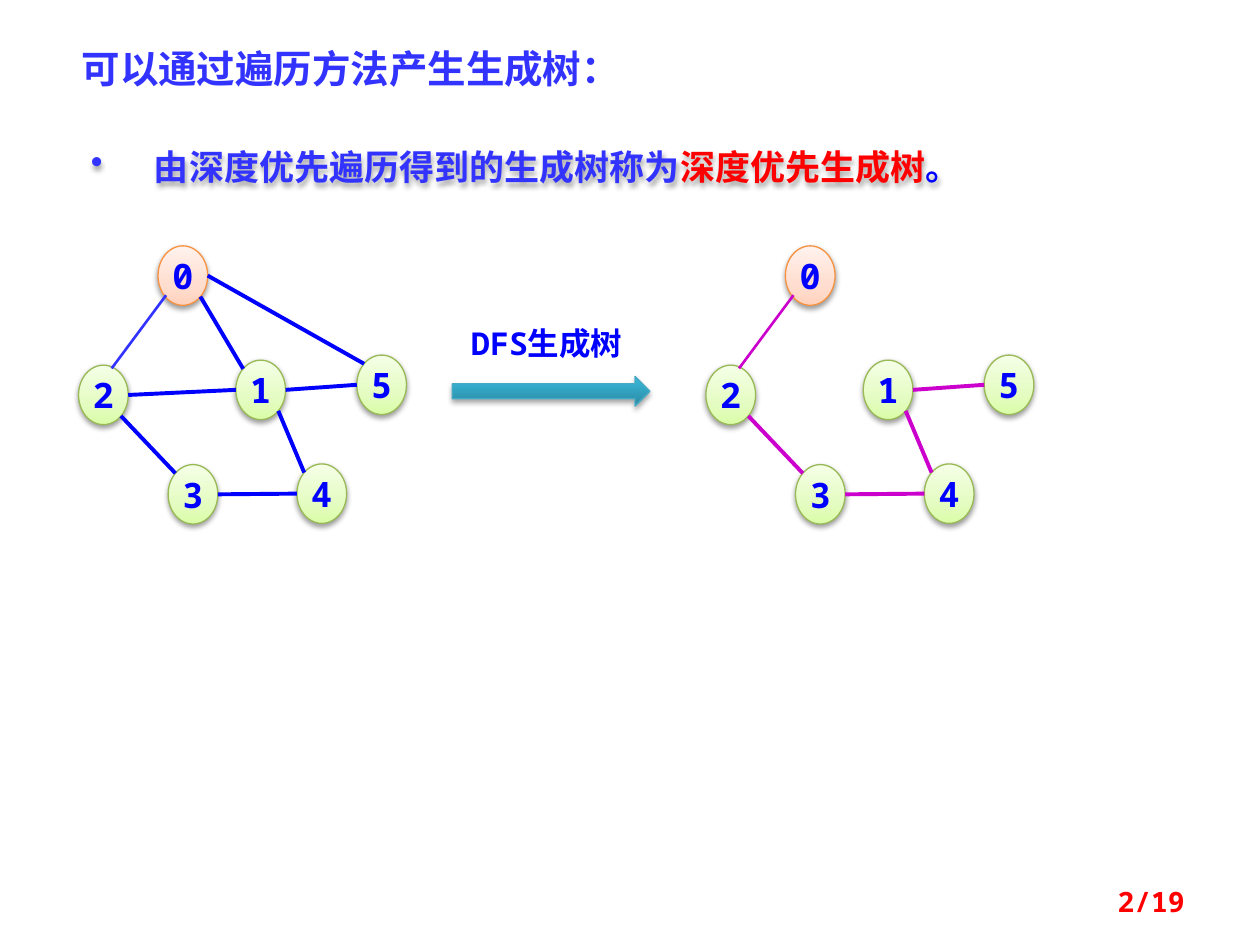
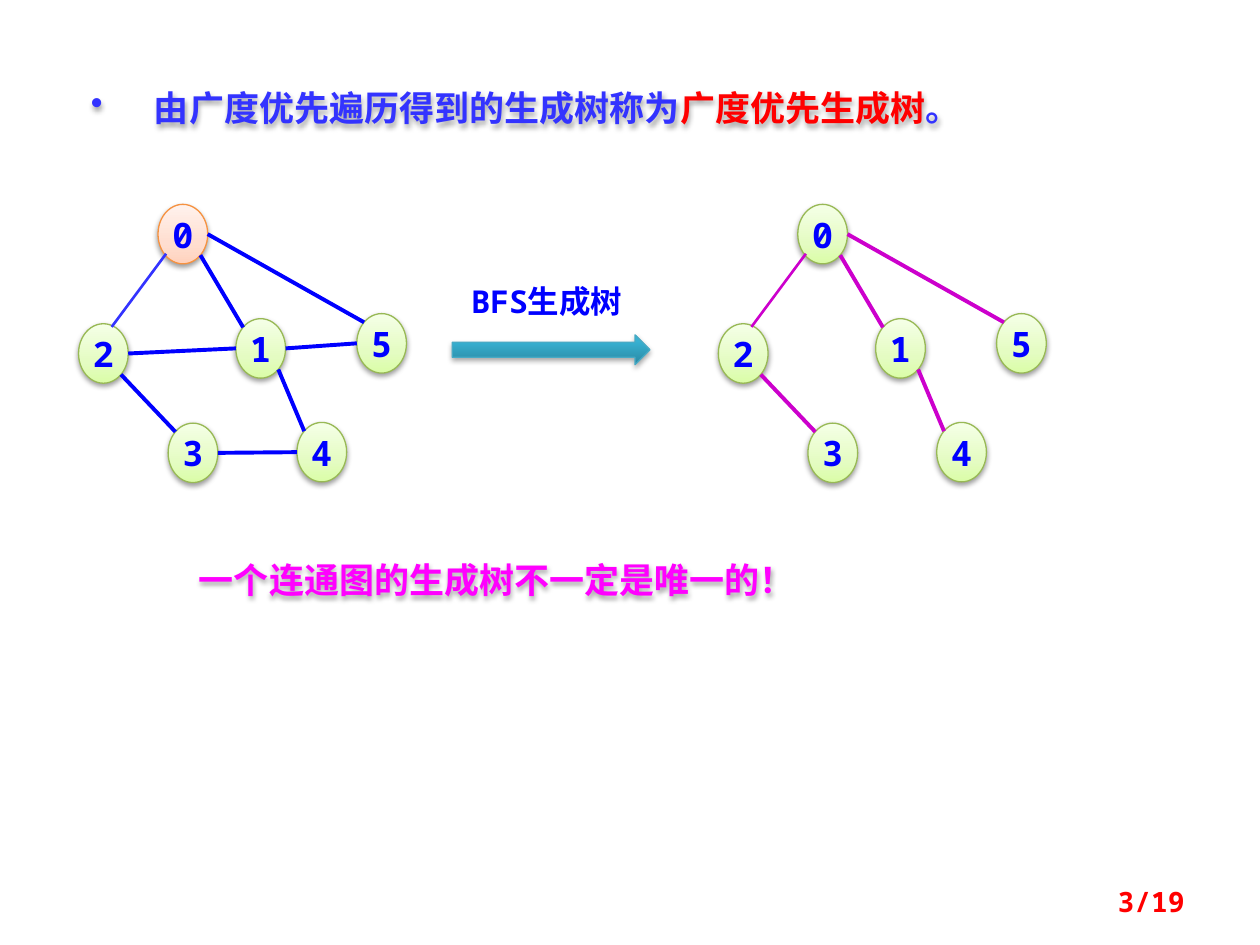
from copy import deepcopy
from math import sqrt

from lxml.etree import SubElement
from pptx import Presentation
from pptx.dml.color import RGBColor
from pptx.enum.shapes import MSO_CONNECTOR, MSO_SHAPE
from pptx.enum.text import MSO_ANCHOR, MSO_AUTO_SIZE, PP_ALIGN
from pptx.oxml.ns import qn
from pptx.util import Pt

# Colours
BLUE = RGBColor(0x00, 0x00, 0xFF)
SOFT_BLUE = RGBColor(0x33, 0x33, 0xFF)
RED = RGBColor(0xFF, 0x00, 0x00)
PINK = RGBColor(0xFF, 0x00, 0xFF)
PURPLE = RGBColor(0xCC, 0x00, 0xCC)
GREEN_LINE = RGBColor(0x98, 0xB9, 0x55)
ORANGE_LINE = RGBColor(0xF6, 0x92, 0x40)
TEAL_LINE = RGBColor(0x46, 0xAA, 0xC5)

# Gradients: stop position and colour, from bottom to top
GREEN_FILL = [(0, RGBColor(0xDA, 0xFD, 0xA7)), (0.35, RGBColor(0xE4, 0xFC, 0xC2)),
              (1, RGBColor(0xF5, 0xFF, 0xE7))]
ORANGE_FILL = [(0, RGBColor(0xFF, 0xD2, 0xBD)), (0.35, RGBColor(0xFF, 0xDE, 0xD0)),
               (1, RGBColor(0xFF, 0xF2, 0xED))]
TEAL_FILL = [(0, RGBColor(0x2A, 0x88, 0xA2)), (0.8, RGBColor(0x37, 0xB1, 0xD2)),
             (1, RGBColor(0x34, 0xB4, 0xD6))]

SERIF = "Times New Roman"
MONO = "Noto Sans Mono"

# Graph geometry in points, relative to the graph's top left corner
NODE_WIDTH, NODE_HEIGHT = 28.4, 34
NODES = [(45.4, 0), (89.9, 65.3), (0, 68.2), (51.2, 125), (124.8, 124.6), (159, 62.4)]
DIAGONAL = sqrt(0.5)
SITES = {"left": (-1, 0), "right": (1, 0),
         "upper left": (-DIAGONAL, -DIAGONAL), "lower right": (DIAGONAL, DIAGONAL)}
EDGES = {
    (2, 3): ("lower right", "upper left"),
    (0, 1): ("lower right", "upper left"),
    (2, 1): ("right", "left"),
    (1, 5): ("right", "left"),
    (1, 4): ("lower right", "upper left"),
    (3, 4): ("right", "left"),
    (0, 5): ("right", "upper left"),
}
SHORT_EDGE = (50, 28.2), (18.9, 70)  # between nodes 0 and 2
GRAPH_LEFT = 44.9
PAGE_COUNT = 19


class Lecture:
    """The style of the deck and the slide being drawn."""

    def __init__(self):
        self.deck = Presentation()
        self.deck.slide_width, self.deck.slide_height = Pt(720), Pt(540)
        self.page = None

    def new_page(self, number):
        self.page = self.deck.slides.add_slide(self.deck.slide_layouts[6])
        box = self.text((516, 500.4, 168, 28.8), [(f"{number}/{PAGE_COUNT}", RED)],
                        16, MONO, PP_ALIGN.RIGHT, fit=False)
        box.text_frame.vertical_anchor = MSO_ANCHOR.MIDDLE

    def fill_frame(self, frame, spans, size, font, align):
        para = frame.paragraphs[0]
        para.alignment = align
        para.font.size, para.font.name, para.font.bold = Pt(size), font, True
        for words, color in spans:
            span = para.add_run()
            span.text = words
            span.font.color.rgb = color

    def text(self, area, spans, size, font=SERIF, align=PP_ALIGN.LEFT, fit=True, parent=None):
        box = (parent or self.page).shapes.add_textbox(*map(Pt, area))
        frame = box.text_frame
        frame.word_wrap = True
        if fit:
            frame.auto_size = MSO_AUTO_SIZE.SHAPE_TO_FIT_TEXT
        self.fill_frame(frame, spans, size, font, align)
        return box

    def shadow(self, shape, distance, opacity):
        shape.shadow.inherit = False
        effects = shape.element.spPr.find(qn("a:effectLst"))
        outer = SubElement(effects, qn("a:outerShdw"), blurRad=str(Pt(3.1)),
                           dist=str(Pt(distance)), dir="5400000", rotWithShape="0")
        black = SubElement(outer, qn("a:srgbClr"), val="000000")
        SubElement(black, qn("a:alpha"), val=str(opacity * 1000))

    def bullet(self, top, spans):
        box = self.text((44.9, top, 613.4, 38.9), spans, 20, align=PP_ALIGN.JUSTIFY)
        para = box.text_frame.paragraphs[0]
        para.line_spacing = 1.5
        properties = para._p.get_or_add_pPr()
        properties.set("marL", str(Pt(36)))
        properties.set("indent", str(Pt(-36)))
        mark = SubElement(properties, qn("a:buChar"), char="•")
        properties.find(qn("a:defRPr")).addprevious(mark)
        self.shadow(box, 1.8, 35)

    def solid(self, parent, kind, area, stops, line_color):
        shape = parent.shapes.add_shape(kind, *map(Pt, area))
        shape.fill.gradient()
        shape.fill.gradient_angle = 90
        stop_list = next(shape.element.spPr.iter(qn("a:gsLst")))
        stop_list.append(deepcopy(stop_list[0]))
        for stop, (position, color) in zip(shape.fill.gradient_stops, stops):
            stop.position = position
            stop.color.rgb = color
        shape.line.color.rgb = line_color
        shape.line.width = Pt(0.75)
        return shape

    def node(self, parent, number, left, top, marked):
        x, y = NODES[number]
        style = (ORANGE_FILL, ORANGE_LINE) if marked else (GREEN_FILL, GREEN_LINE)
        shape = self.solid(parent, MSO_SHAPE.OVAL,
                           (left + x, top + y, NODE_WIDTH, NODE_HEIGHT), *style)
        self.shadow(shape, 1.6, 38)
        frame = shape.text_frame
        frame.word_wrap = False
        frame.vertical_anchor = MSO_ANCHOR.MIDDLE
        self.fill_frame(frame, [(str(number), BLUE)], 20, MONO, PP_ALIGN.CENTER)

    def edge(self, parent, pair, left, top, color):
        ends = []
        for number, site in zip(pair, EDGES[pair]):
            (x, y), (across, down) = NODES[number], SITES[site]
            ends += [Pt(left + x + NODE_WIDTH / 2 * (1 + across)),
                     Pt(top + y + NODE_HEIGHT / 2 * (1 + down))]
        line = parent.shapes.add_connector(MSO_CONNECTOR.STRAIGHT, *ends)
        line.line.color.rgb = color
        line.line.width = Pt(2.25)
        SubElement(line.element.spPr, qn("a:effectLst"))

    def short_edge(self, parent, left, top, color):
        start, end = [(Pt(left + x), Pt(top + y)) for x, y in SHORT_EDGE]
        builder = parent.shapes.build_freeform(*start)
        builder.add_line_segments([end], close=False)
        line = builder.convert_to_shape()
        line.fill.background()
        line.line.color.rgb = color
        line.line.width = Pt(1.5)
        line.shadow.inherit = False

    def graph(self, parent, left, top, pairs, color, short_color, marked):
        for number in range(len(NODES)):
            self.node(parent, number, left, top, marked and number == 0)
        self.short_edge(parent, left, top, short_color)
        for pair in pairs:
            self.edge(parent, pair, left, top, color)

    def spanning_tree(self, label, top, tree_left, tree_pairs, marked):
        """The full graph, a labelled arrow and the tree taken from it."""
        self.graph(self.page, GRAPH_LEFT, top, EDGES, BLUE, SOFT_BLUE, True)
        group = self.page.shapes.add_group_shape()
        arrow = self.solid(group, MSO_SHAPE.RIGHT_ARROW, (258.4, top + 74.6, 113, 17),
                           TEAL_FILL, TEAL_LINE)
        self.shadow(arrow, 1.8, 35)
        self.text((247.7, top + 41, 129.6, 28.8), [(label, BLUE)], 18, MONO,
                  PP_ALIGN.CENTER, parent=group)
        tree = self.page.shapes.add_group_shape()
        self.graph(tree, tree_left, top, tree_pairs, PURPLE, PURPLE, marked)


lecture = Lecture()

# Depth-first spanning tree
lecture.new_page(2)
lecture.bullet(67.7, [("由深度优先遍历得到的生成树称为", SOFT_BLUE),
                      ("深度优先生成树", RED), ("。", BLUE)])
lecture.text((39.6, 22.3, 545.8, 33.8), [("可以通过遍历方法产生生成树：", SOFT_BLUE)], 22)
lecture.spanning_tree("DFS生成树", 140.5, 403.4, [(2, 3), (1, 5), (1, 4), (3, 4)], True)

# Breadth-first spanning tree
lecture.new_page(3)
lecture.bullet(33.8, [("由广度优先遍历得到的生成树称为", SOFT_BLUE),
                      ("广度优先生成树", RED), ("。", SOFT_BLUE)])
lecture.spanning_tree("BFS生成树", 116.8, 410.5, [(2, 3), (0, 1), (1, 4), (0, 5)], False)
note = lecture.text((106.6, 315.4, 455.8, 31.7),
                    [("一个连通图的生成树不一定是唯一的！", PINK)], 20)
lecture.shadow(note, 1.8, 35)

lecture.deck.save("out.pptx")
